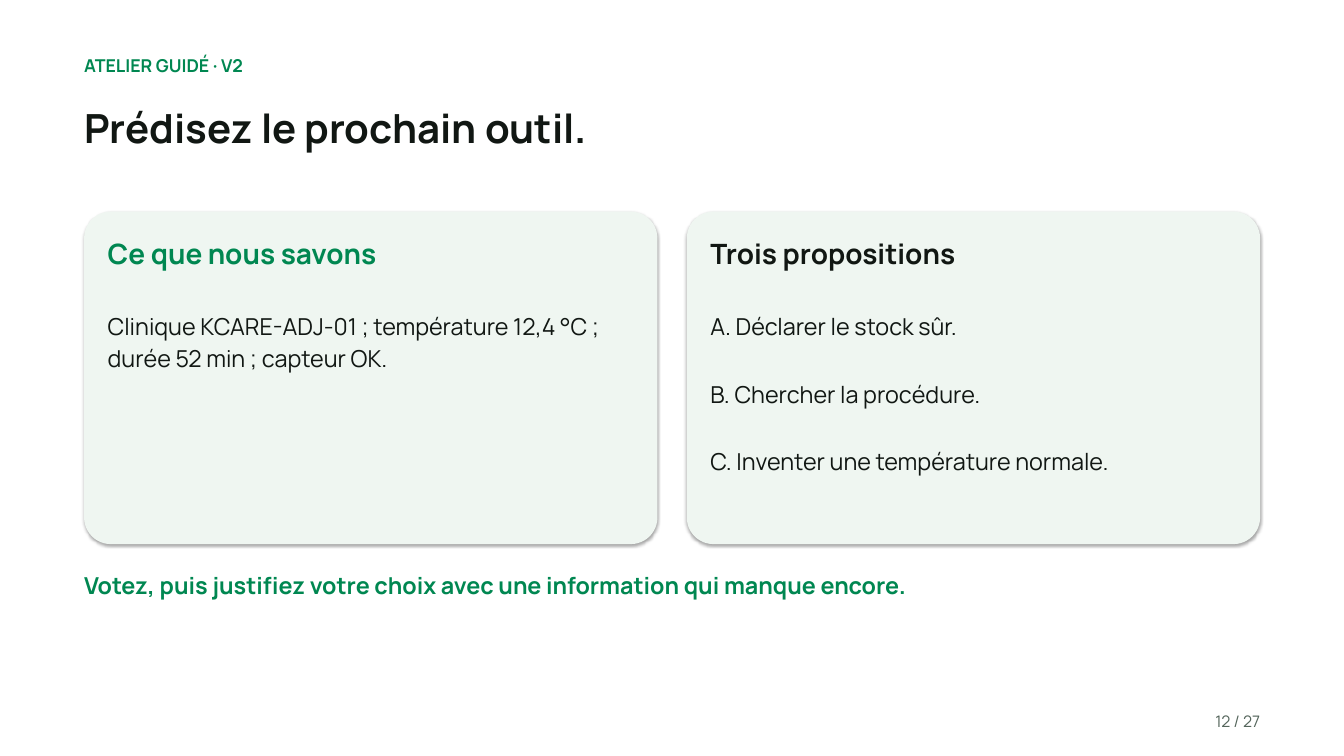
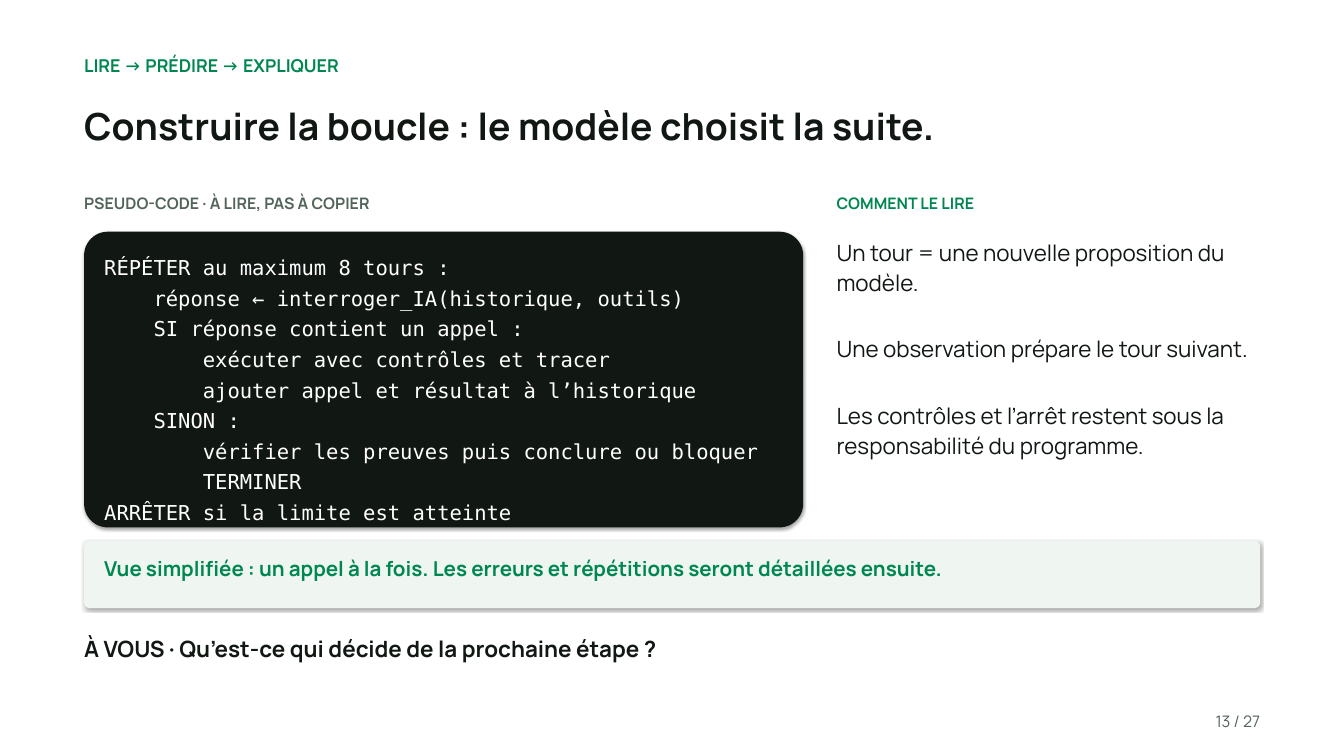
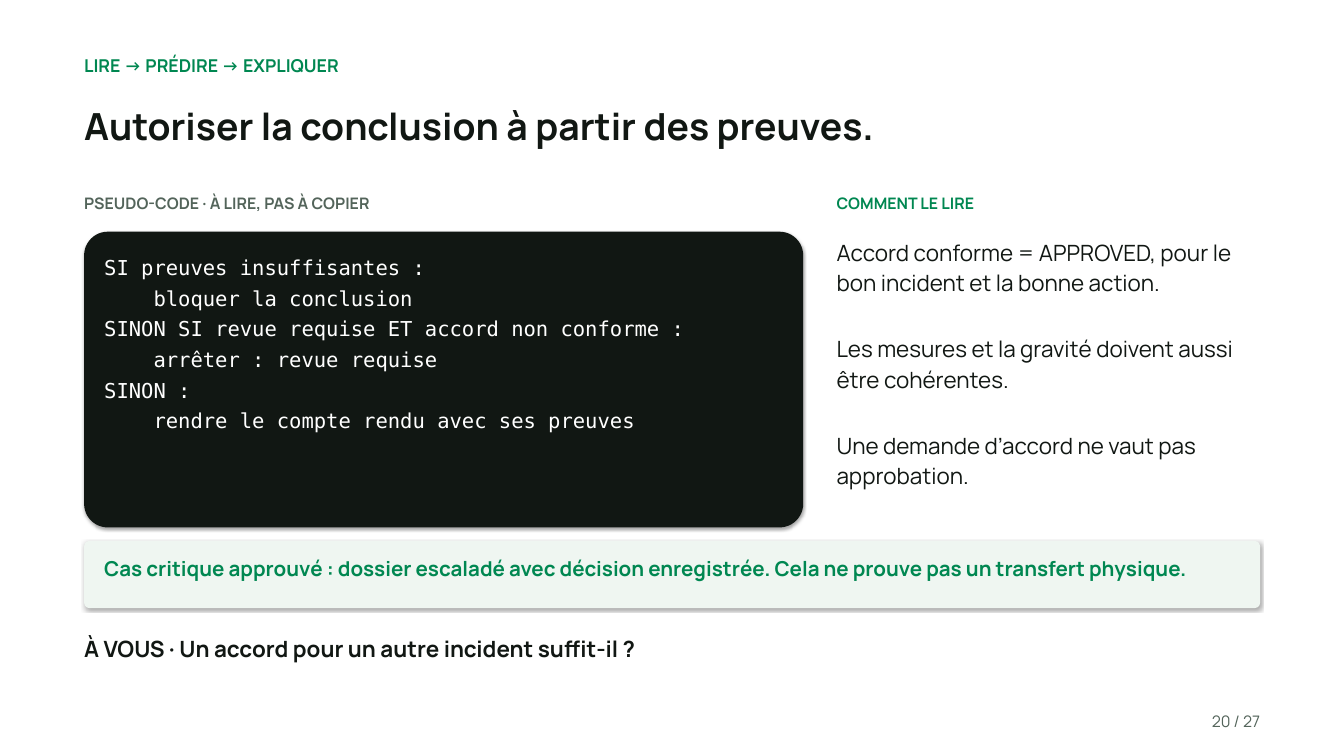
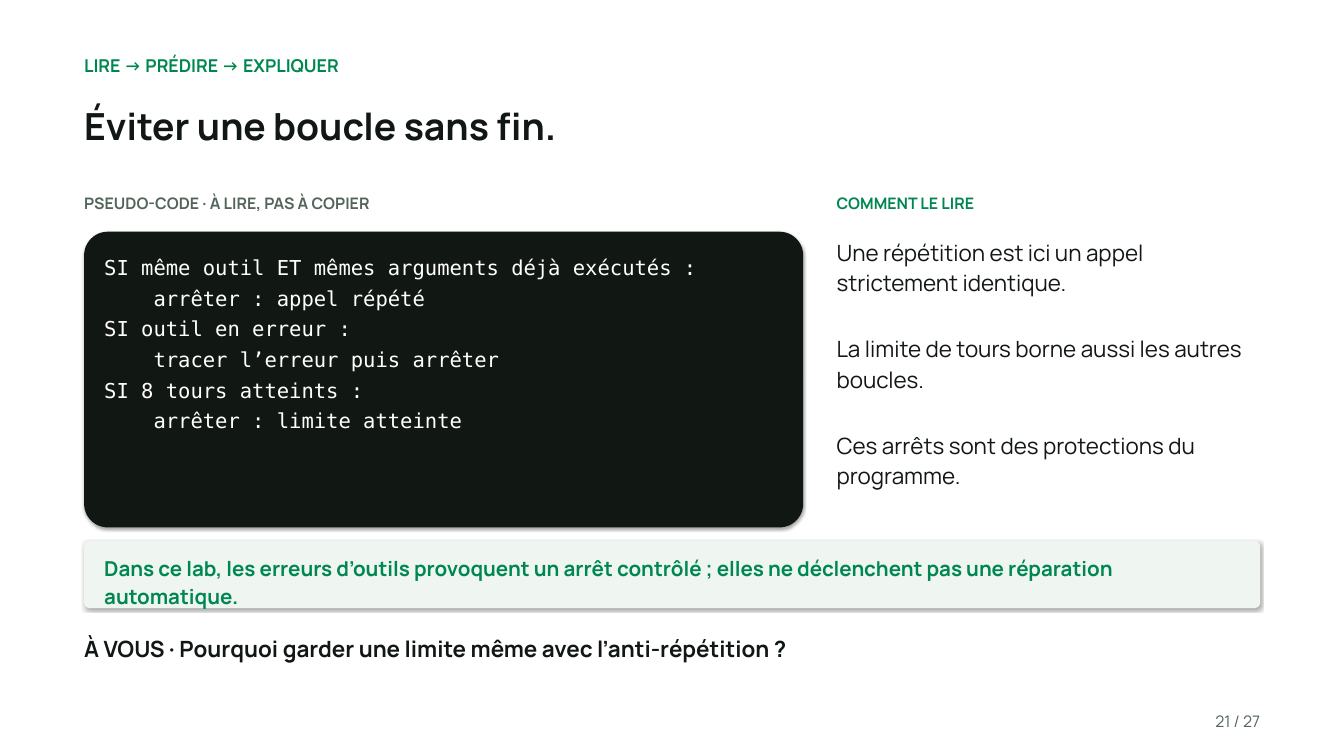
import pptx
import pptx.dml.color
import pptx.enum.shapes
import pptx.enum.text
import pptx.oxml.ns
import pptx.util
from lxml import etree

Cm = pptx.util.Cm
Pt = pptx.util.Pt
Align = pptx.enum.text.PP_ALIGN

GREEN, INK, GREY, PALE = "008751", "111713", "53645A", "EFF6F1"
SANS, MONO = "Manrope", "DejaVu Sans Mono"
LEFT, WIDE = 3.18, 44.45
TOTAL = 27
GAP = 38.5

LOOPS = [
    dict(
        page=13,
        title="Construire la boucle : le modèle choisit la suite.",
        code=[
            "RÉPÉTER au maximum 8 tours :",
            "    réponse ← interroger_IA(historique, outils)",
            "    SI réponse contient un appel :",
            "        exécuter avec contrôles et tracer",
            "        ajouter appel et résultat à l’historique",
            "    SINON :",
            "        vérifier les preuves puis conclure ou bloquer",
            "        TERMINER",
            "ARRÊTER si la limite est atteinte",
        ],
        hints=[
            "Un tour = une nouvelle proposition du modèle.",
            "Une observation prépare le tour suivant.",
            "Les contrôles et l’arrêt restent sous la responsabilité du programme.",
        ],
        note="Vue simplifiée : un appel à la fois. Les erreurs et répétitions "
             "seront détaillées ensuite.",
        ask="Qu’est-ce qui décide de la prochaine étape ?",
    ),
    dict(
        page=20,
        title="Autoriser la conclusion à partir des preuves.",
        code=[
            "SI preuves insuffisantes :",
            "    bloquer la conclusion",
            "SINON SI revue requise ET accord non conforme :",
            "    arrêter : revue requise",
            "SINON :",
            "    rendre le compte rendu avec ses preuves",
        ],
        hints=[
            "Accord conforme = APPROVED, pour le bon incident et la bonne action.",
            "Les mesures et la gravité doivent aussi être cohérentes.",
            "Une demande d’accord ne vaut pas approbation.",
        ],
        note="Cas critique approuvé : dossier escaladé avec décision enregistrée. "
             "Cela ne prouve pas un transfert physique.",
        ask="Un accord pour un autre incident suffit-il ?",
    ),
    dict(
        page=21,
        title="Éviter une boucle sans fin.",
        code=[
            "SI même outil ET mêmes arguments déjà exécutés :",
            "    arrêter : appel répété",
            "SI outil en erreur :",
            "    tracer l’erreur puis arrêter",
            "SI 8 tours atteints :",
            "    arrêter : limite atteinte",
        ],
        hints=[
            "Une répétition est ici un appel strictement identique.",
            "La limite de tours borne aussi les autres boucles.",
            "Ces arrêts sont des protections du programme.",
        ],
        note="Dans ce lab, les erreurs d’outils provoquent un arrêt contrôlé ; "
             "elles ne déclenchent pas une réparation automatique.",
        ask="Pourquoi garder une limite même avec l’anti-répétition ?",
    ),
]


def paint(target, color):
    """Apply a hex colour to a fill or a font."""
    if hasattr(target, "solid"):
        target.solid()
        target.fore_color.rgb = pptx.dml.color.RGBColor.from_string(color)
    else:
        target.color.rgb = pptx.dml.color.RGBColor.from_string(color)


def write(slide, box, text, holder=None, size=25, color=INK, bold=False,
          font=SANS, align=Align.LEFT, after=7):
    """Put a string or a list of paragraphs in a placeholder or a new text box."""
    area = [Cm(n) for n in box]
    if holder is None:
        holder = slide.shapes.add_textbox(*area)
    else:
        holder.left, holder.top, holder.width, holder.height = area
        slide.shapes.element.append(holder.element)
    frame = holder.text_frame
    frame.word_wrap = True
    frame.auto_size = pptx.enum.text.MSO_AUTO_SIZE.SHAPE_TO_FIT_TEXT
    frame.vertical_anchor = pptx.enum.text.MSO_ANCHOR.TOP
    frame.margin_left = frame.margin_right = 0
    frame.margin_top = frame.margin_bottom = 0

    for i, words in enumerate([text] if isinstance(text, str) else text):
        para = frame.paragraphs[0] if i == 0 else frame.add_paragraph()
        if holder.is_placeholder:
            props = para._p.get_or_add_pPr()
            props.set("marL", "0")
            props.set("indent", "0")
            etree.SubElement(props, pptx.oxml.ns.qn("a:buNone"))
        para.alignment = align
        para.line_spacing = 1.13
        para.space_before = Pt(0)
        para.space_after = Pt(after)
        run = para.add_run()
        run.text = words
        run.font.name, run.font.size, run.font.bold = font, Pt(size), bold
        paint(run.font, color)


def panel(slide, box, color):
    """Draw a rounded panel that keeps the soft theme shadow."""
    shape = slide.shapes.add_shape(
        pptx.enum.shapes.MSO_SHAPE.ROUNDED_RECTANGLE, *[Cm(n) for n in box])
    shape.adjustments[0] = 0.08
    paint(shape.fill, color)
    shape.line.fill.background()


def start(deck, page, tag, title, size):
    """Add a slide with its tag, title and page number."""
    slide = deck.slides.add_slide(deck.slide_layouts[1])
    paint(slide.background.fill, "FFFFFF")
    write(slide, (LEFT + WIDE - 3.56, 26.8, 3.56, 1.02), f"{page} / {TOTAL}",
          size=17, color=GREY, align=Align.RIGHT)
    write(slide, (LEFT, 1.98, WIDE, 1.02), tag, size=19, color=GREEN, bold=True)
    write(slide, (LEFT, 3.68, WIDE, 3.43), title, holder=slide.shapes.title,
          size=size, bold=True)
    return slide


def card(slide, box, head, body, color=INK, holder=None):
    x, y, w, h = box
    pad = 0.89
    panel(slide, box, PALE)
    write(slide, (x + pad, y + 0.76, w - 2 * pad, 2.54), head,
          size=30, color=color, bold=True)
    write(slide, (x + pad, y + 3.68, w - 2 * pad, h - 4.19), body,
          holder=holder, after=GAP)


def code_block(slide, box, lines):
    x, y, w, h = box
    pad = 0.76
    write(slide, (x, y - 1.52, w, 1.14), "PSEUDO-CODE · À LIRE, PAS À COPIER",
          size=17, color=GREY, bold=True)
    panel(slide, box, INK)
    write(slide, (x + pad, y + pad, w - 2 * pad, h - 1.15), lines,
          size=22, color="FFFFFF", font=MONO, after=3)


def guide(slide, box, hints):
    x, y, w, h = box
    write(slide, (x, y, w, 1.14), "COMMENT LE LIRE",
          size=17, color=GREEN, bold=True)
    write(slide, (x, y + 1.65, w, h - 1.65), hints,
          holder=slide.placeholders[1], size=24, after=GAP)


def banner(slide, box, text):
    x, y, w, h = box
    panel(slide, box, PALE)
    write(slide, (x + 0.76, y + 0.46, w - 1.52, h - 0.56), text,
          size=22, color=GREEN, bold=True)


def vote_slide(deck):
    slide = start(deck, 12, "ATELIER GUIDÉ · V2", "Prédisez le prochain outil.", 43)
    top, wide, high = 8, 21.67, 12.57
    card(slide, (LEFT, top, wide, high), "Ce que nous savons",
         "Clinique KCARE-ADJ-01 ; température 12,4 °C ; durée 52 min ; capteur OK.",
         color=GREEN)
    card(slide, (LEFT + WIDE - wide, top, wide, high), "Trois propositions",
         ["A. Déclarer le stock sûr.", "B. Chercher la procédure.",
          "C. Inventer une température normale."],
         holder=slide.placeholders[1])
    write(slide, (LEFT, 21.46, WIDE, 2.54),
          "Votez, puis justifiez votre choix avec une information qui manque encore.",
          color=GREEN, bold=True)


def loop_slide(deck, page, title, code, hints, note, ask):
    slide = start(deck, page, "LIRE → PRÉDIRE → EXPLIQUER", title, 40)
    code_block(slide, (LEFT, 8.76, 27.18, 11.18), code)
    guide(slide, (31.62, 7.24, 16, 13.08), hints)
    banner(slide, (LEFT, 20.45, WIDE, 2.54), note)
    write(slide, (LEFT, 23.88, WIDE, 2.03), f"À VOUS · {ask}", size=24, bold=True)


def main():
    deck = pptx.Presentation()
    deck.slide_width, deck.slide_height = Cm(50.8), Cm(28.58)
    vote_slide(deck)
    for loop in LOOPS:
        loop_slide(deck, **loop)
    deck.save("out.pptx")


if __name__ == "__main__":
    main()
